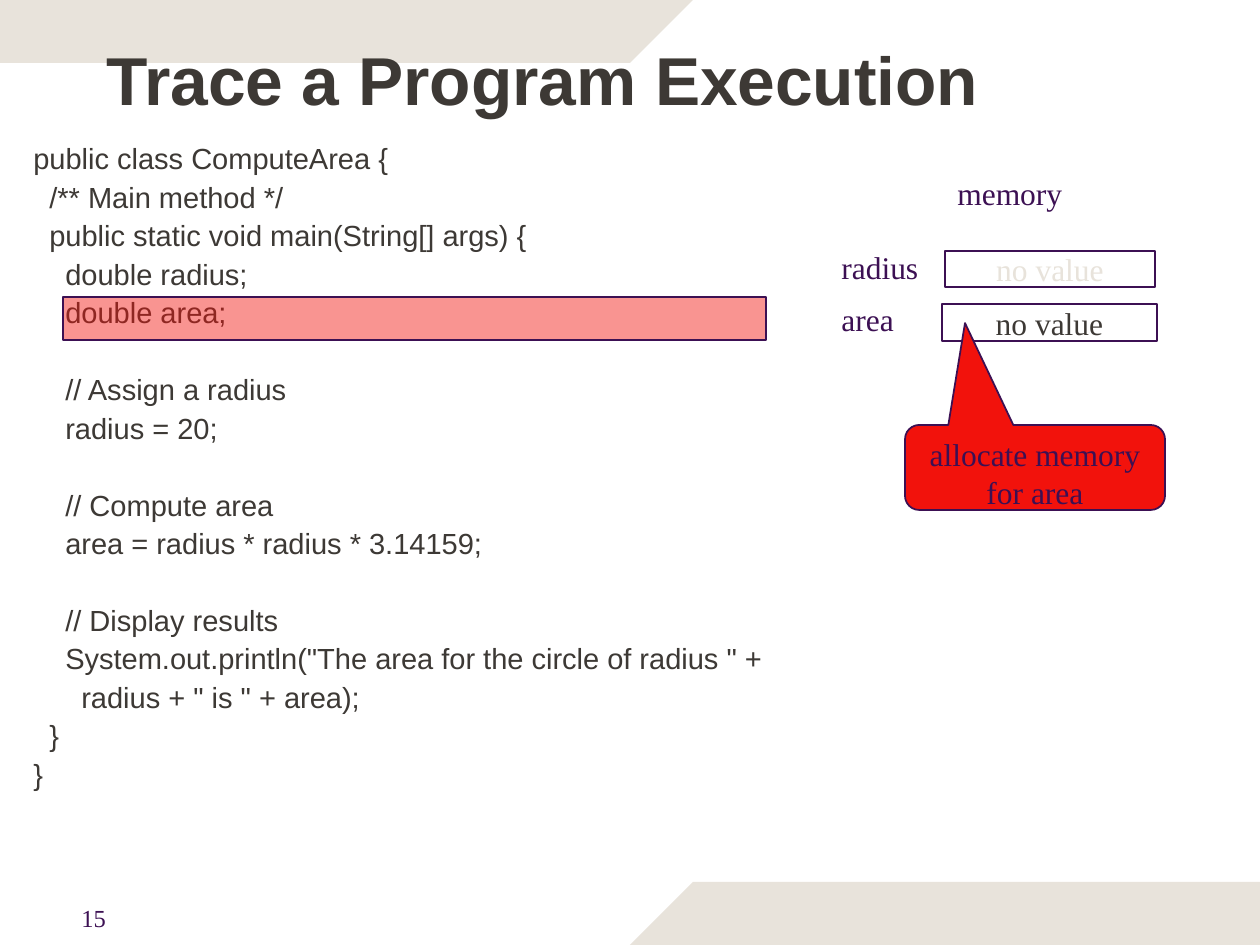
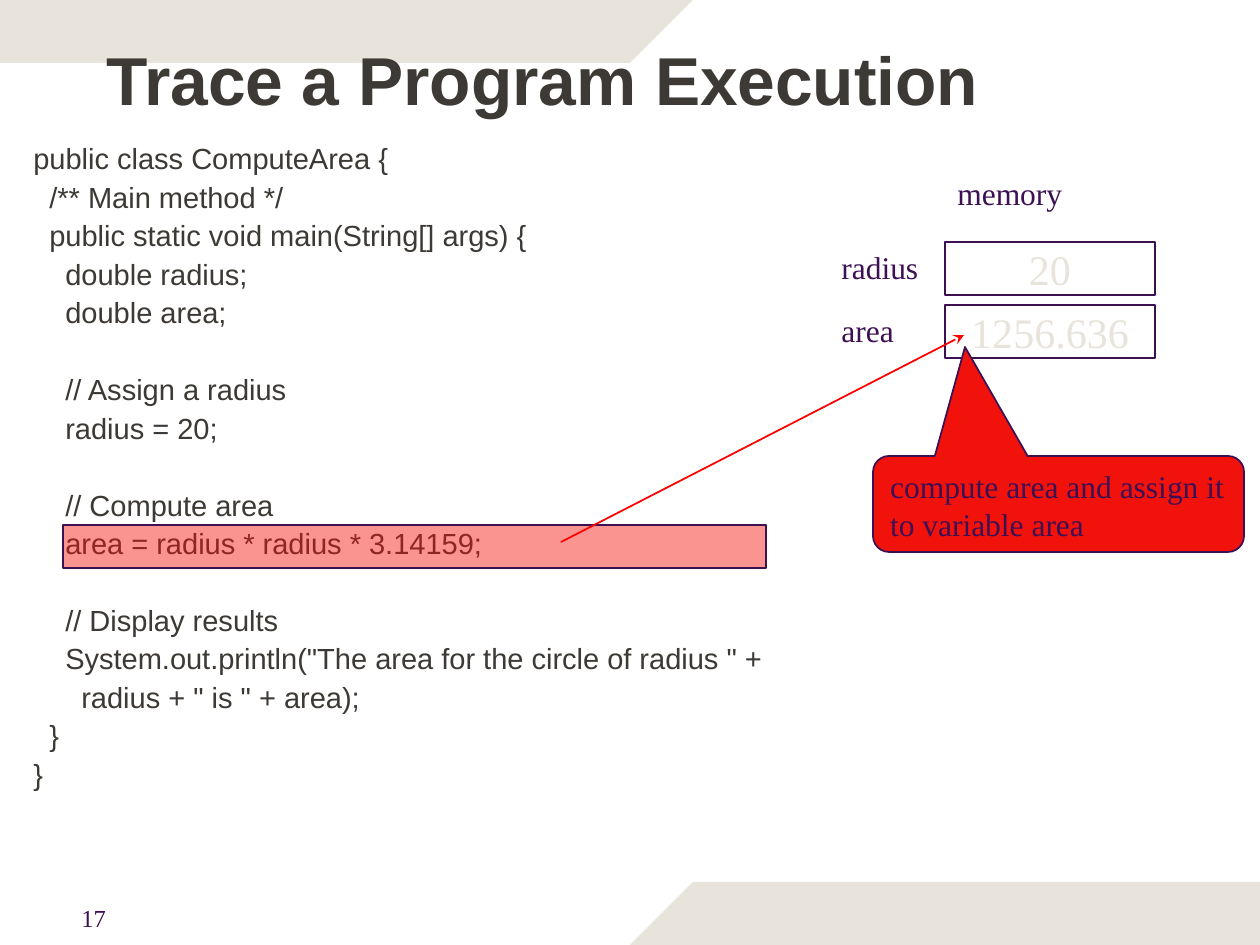
"""Builds two slides that trace variables in memory while a program runs."""
from lxml.etree import SubElement
from pptx import Presentation
from pptx.dml.color import RGBColor
from pptx.enum.shapes import MSO_CONNECTOR, MSO_SHAPE
from pptx.enum.text import MSO_ANCHOR, MSO_AUTO_SIZE, PP_ALIGN
from pptx.oxml.ns import qn
from pptx.util import Emu, Pt

SCALE = 914400 / 126
SAND = RGBColor(0xE8, 0xE3, 0xDB)
PURPLE = RGBColor(0x3C, 0x10, 0x53)
CHARCOAL = RGBColor(0x3D, 0x39, 0x35)
RED = RGBColor(0xF2, 0x12, 0x0C)
ARROW_RED = RGBColor(0xFF, 0x00, 0x00)
SANS = "Arial"
SERIF = "Times New Roman"

BANDS = [
    [(0, 0), (693, 0), (630, 63), (0, 63)],
    [(1260, 945), (630, 945), (693, 882), (1260, 882)],
]
CODE_TOP = 145
ROW_HEIGHT = 38
INDENT = 16
LINE_GAP = 10
BLANK_LINE = 22
CODE = [
    [
        (0, "public class ComputeArea {"),
        (1, "/** Main method */"),
        (1, "public static void main(String[] args) {"),
        (2, "double radius;"),
        (2, "double area;"),
    ],
    [
        (2, "// Assign a radius"),
        (2, "radius = 20;"),
    ],
    [
        (2, "// Compute area"),
        (2, "area = radius * radius * 3.14159;"),
    ],
    [
        (2, "// Display results"),
        (2, 'System.out.println("The area for the circle of radius " +'),
        (3, 'radius + " is " + area);'),
        (1, "}"),
        (0, "}"),
    ],
]


def px(length):
    """Turn px into EMU."""
    return Emu(round(length * SCALE))


class TraceDeck:
    """Holds the shared style and the slide being drawn."""

    def __init__(self):
        """Start an empty deck of 1260 by 945 px."""
        self.deck = Presentation()
        self.deck.slide_width, self.deck.slide_height = px(1260), px(945)
        self.page = None

    def add_span(self, para, text, size, color, font=SERIF, bold=False):
        """Add one formatted run to a paragraph."""
        span = para.add_run()
        span.text = text
        span.font.size = Pt(size)
        span.font.name = font
        span.font.bold = bold
        span.font.color.rgb = color

    def start_page(self, title_text, number):
        """Add a slide with its title, bands, number and program."""
        self.page = self.deck.slides.add_slide(self.deck.slide_layouts[5])
        title = self.page.shapes.title
        title.left, title.top, title.width, title.height = map(px, (94, 42, 1071, 73))
        frame = title.text_frame
        frame.auto_size = MSO_AUTO_SIZE.NONE
        frame.vertical_anchor = MSO_ANCHOR.MIDDLE
        para = frame.paragraphs[0]
        para.alignment = PP_ALIGN.LEFT
        self.add_span(para, title_text, 38.7, CHARCOAL, SANS, True)
        for points in BANDS:
            title.element.addprevious(self.band(points).element)
        self.label(number, 69, 897, 62, 34, 14)
        self.program()

    def band(self, points):
        """Draw a slanted background band."""
        builder = self.page.shapes.build_freeform(*points[0], scale=SCALE)
        builder.add_line_segments(points[1:], close=True)
        shape = builder.convert_to_shape()
        shape.shadow.inherit = False
        shape.fill.solid()
        shape.fill.fore_color.rgb = SAND
        shape.line.fill.background()
        return shape

    def text_box(self, left, top, width, height):
        """Add a wrapping text box and return its frame."""
        box = self.page.shapes.add_textbox(*map(px, (left, top, width, height)))
        box.text_frame.word_wrap = True
        return box.text_frame

    def label(self, text, left, top, width, height=50, size=18):
        """Add a one-line purple label."""
        frame = self.text_box(left, top, width, height)
        self.add_span(frame.paragraphs[0], text, size, PURPLE)

    def program(self):
        """Set the listing, with a gap between its blocks."""
        frame = self.text_box(21, 147, 766, 714)
        para = frame.paragraphs[0]
        for block_index, block in enumerate(CODE):
            for line_index, (level, text) in enumerate(block):
                if block_index or line_index:
                    para = frame.add_paragraph()
                starts_block = block_index and not line_index
                para.space_before = Pt(LINE_GAP + (BLANK_LINE if starts_block else 0))
                para.line_spacing = 0.6
                para._p.get_or_add_pPr().set("marL", str(px(INDENT * level)))
                self.add_span(para, text, 16.6, CHARCOAL, SANS)

    def shape(self, kind, left, top, width, height, fill=None):
        """Add a purple-edged preset shape."""
        shape = self.page.shapes.add_shape(kind, *map(px, (left, top, width, height)))
        shape.shadow.inherit = False
        if fill is None:
            shape.fill.background()
        else:
            shape.fill.solid()
            shape.fill.fore_color.rgb = fill
        shape.line.color.rgb = PURPLE
        shape.line.width = Pt(1)
        return shape

    def highlight(self, row):
        """Lay a see-through red bar over a row of the program."""
        top = CODE_TOP + row * ROW_HEIGHT
        bar = self.shape(MSO_SHAPE.RECTANGLE, 63, top, 703, 43, RED)
        color = bar.element.spPr.find(qn("a:solidFill"))[0]
        SubElement(color, qn("a:alpha"), val="45000")

    def memory_cell(self, value, left, top, width, height, size=24, color=SAND):
        """Draw a memory cell with its value."""
        frame = self.shape(MSO_SHAPE.RECTANGLE, left, top, width, height).text_frame
        frame.word_wrap = False
        frame.vertical_anchor = MSO_ANCHOR.MIDDLE
        frame.margin_left = frame.margin_right = px(1)
        frame.margin_top = frame.margin_bottom = px(1)
        para = frame.paragraphs[0]
        para.alignment = PP_ALIGN.CENTER
        self.add_span(para, value, size, color)

    def callout(self, text, left, top, width, height, tip, alignment):
        """Draw a red callout whose pointer ends at the tip."""
        bubble = self.shape(MSO_SHAPE.ROUNDED_RECTANGULAR_CALLOUT,
                            left, top, width, height, RED)
        bubble.adjustments[0] = (tip[0] - left) / width - 0.5
        bubble.adjustments[1] = (tip[1] - top) / height - 0.5
        frame = bubble.text_frame
        frame.word_wrap = True
        frame.vertical_anchor = MSO_ANCHOR.TOP
        para = frame.paragraphs[0]
        para.alignment = alignment
        self.add_span(para, text, 18, PURPLE)

    def arrow(self, start, end):
        """Draw a thin red arrow."""
        arrow = self.page.shapes.add_connector(
            MSO_CONNECTOR.STRAIGHT, *map(px, (*start, *end)))
        arrow.line.color.rgb = ARROW_RED
        arrow.line.width = Pt(1)
        SubElement(arrow.line._get_or_add_ln(), qn("a:tailEnd"), type="stealth")
        SubElement(arrow.element.spPr, qn("a:effectLst"))

    def memory_labels(self, area_top):
        """Name the memory column and its two variables."""
        self.label("memory", 945, 168, 199)
        self.label("radius", 829, 242, 116)
        self.label("area", 829, area_top, 116)


def main():
    """Build and save both slides."""
    trace = TraceDeck()
    title = "Trace a Program Execution"

    trace.start_page(title, "15")
    trace.memory_cell("no value", 945, 251, 210, 36, 18)
    trace.highlight(4)
    trace.memory_cell("no value", 942, 304, 215, 37, 18, CHARCOAL)
    trace.memory_labels(294)
    trace.callout("allocate memory for area", 905, 425, 260, 85,
                  (965, 323), PP_ALIGN.CENTER)

    trace.start_page(title, "17")
    trace.memory_cell("20", 945, 242, 210, 53)
    trace.memory_cell("1256.636", 945, 305, 210, 53)
    trace.memory_labels(305)
    trace.highlight(10)
    trace.arrow((561, 542), (964, 335))
    trace.callout("compute area and assign it to variable area",
                  873, 456, 371, 96, (965, 347), PP_ALIGN.LEFT)

    trace.deck.save("out.pptx")


if __name__ == "__main__":
    main()
